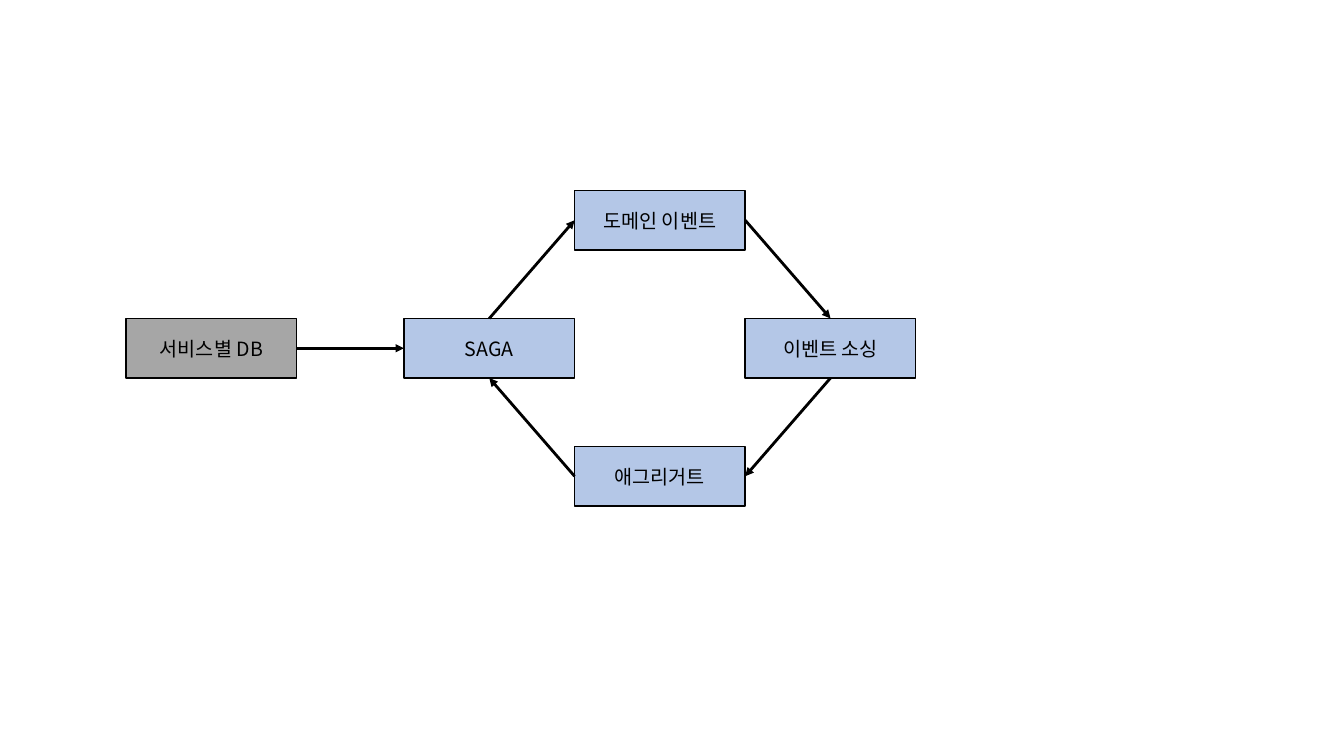
from collections import namedtuple
from dataclasses import dataclass

from lxml.etree import SubElement
from pptx import Presentation
from pptx.dml.color import RGBColor
from pptx.enum.shapes import MSO_CONNECTOR as Connector, MSO_SHAPE as Shape
from pptx.enum.text import MSO_ANCHOR as Anchor, PP_ALIGN as Align
from pptx.oxml.ns import qn
from pptx.util import Cm, Pt

Box = namedtuple("Box", "left top width height")
TOP, LEFT, BOTTOM, RIGHT = range(4)  # connection sites of a rectangle


@dataclass(frozen=True)
class Theme:
    font: str = "Noto Sans CJK KR"
    text_size: Pt = Pt(14)
    ink: RGBColor = RGBColor(0x00, 0x00, 0x00)
    database: RGBColor = RGBColor(0xA6, 0xA6, 0xA6)
    pattern: RGBColor = RGBColor(0xB4, 0xC7, 0xE7)
    outline: Pt = Pt(1)
    arrow: Pt = Pt(2)


THEME = Theme()
NODE_WIDTH, NODE_HEIGHT = Cm(4.3), Cm(1.5)


def add_node(slide, left, top, label, fill):
    shape = slide.shapes.add_shape(Shape.RECTANGLE, left, top, NODE_WIDTH, NODE_HEIGHT)
    shape.shadow.inherit = False
    shape.fill.solid()
    shape.fill.fore_color.rgb = fill
    shape.line.color.rgb = THEME.ink
    shape.line.width = THEME.outline
    shape.text_frame.text = label
    shape.text_frame.vertical_anchor = Anchor.MIDDLE
    paragraph = shape.text_frame.paragraphs[0]
    paragraph.alignment = Align.CENTER
    font = paragraph.runs[0].font
    font.name, font.size = THEME.font, THEME.text_size
    font.color.rgb = THEME.ink
    # Korean glyphs take the East Asian typeface
    SubElement(font._element, qn("a:ea"), typeface=THEME.font)
    return shape


def add_arrow(slide, start, start_site, end, end_site):
    connector = slide.shapes.add_connector(Connector.STRAIGHT, 0, 0, 0, 0)
    connector.begin_connect(start, start_site)
    connector.end_connect(end, end_site)
    connector.line.color.rgb = THEME.ink
    connector.line.width = THEME.arrow
    SubElement(connector.line._get_or_add_ln(), qn("a:tailEnd"), type="triangle")
    SubElement(connector._element.spPr, qn("a:effectLst"))


def draw_cycle(slide, box):
    """Place four patterns at the side centres of the box, joined clockwise."""
    center = box.left + (box.width - NODE_WIDTH) // 2
    middle = box.top + (box.height - NODE_HEIGHT) // 2
    right = box.left + box.width - NODE_WIDTH
    bottom = box.top + box.height - NODE_HEIGHT
    places = [
        ("SAGA", box.left, middle),
        ("도메인 이벤트", center, box.top),
        ("이벤트 소싱", right, middle),
        ("애그리거트", center, bottom),
    ]
    nodes = [add_node(slide, left, top, label, THEME.pattern)
             for label, left, top in places]
    sites = [(TOP, LEFT), (RIGHT, TOP), (BOTTOM, RIGHT), (LEFT, BOTTOM)]
    for start, end, (start_site, end_site) in zip(nodes, nodes[1:] + nodes[:1], sites):
        add_arrow(slide, start, start_site, end, end_site)
    return nodes[0]


def draw_database(slide, box, target):
    """Place the database at the left of the box, pointing at the target."""
    top = box.top + (box.height - NODE_HEIGHT) // 2
    database = add_node(slide, box.left, top, "서비스별 DB", THEME.database)
    add_arrow(slide, database, RIGHT, target, LEFT)


presentation = Presentation()
presentation.slide_width, presentation.slide_height = Cm(33.87), Cm(19.05)
slide = presentation.slides.add_slide(presentation.slide_layouts[6])

# Cycle of patterns, fed by the database on its left
cycle_box = Box(Cm(10.18), Cm(4.8), 3 * NODE_WIDTH, Cm(7.95))
database_box = Box(Cm(3.18), cycle_box.top, Cm(7), cycle_box.height)
saga = draw_cycle(slide, cycle_box)
draw_database(slide, database_box, saga)

presentation.save("out.pptx")
